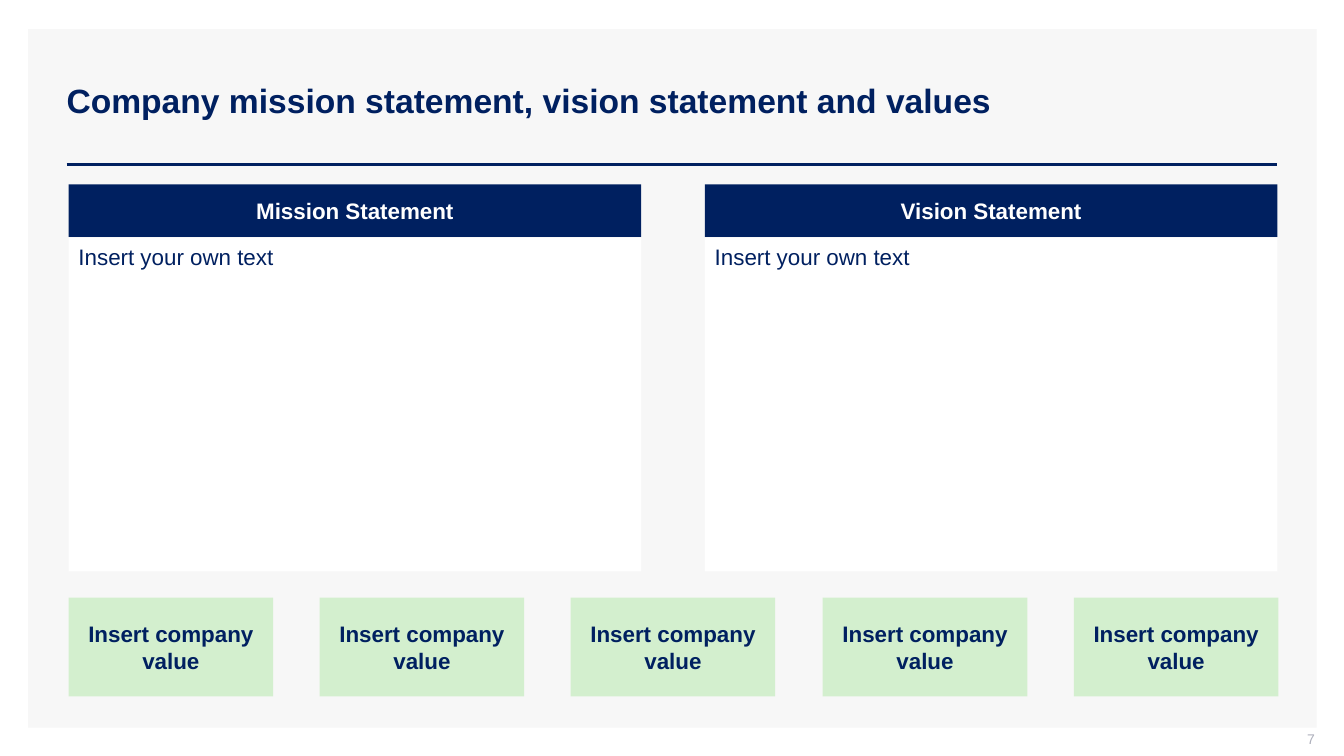
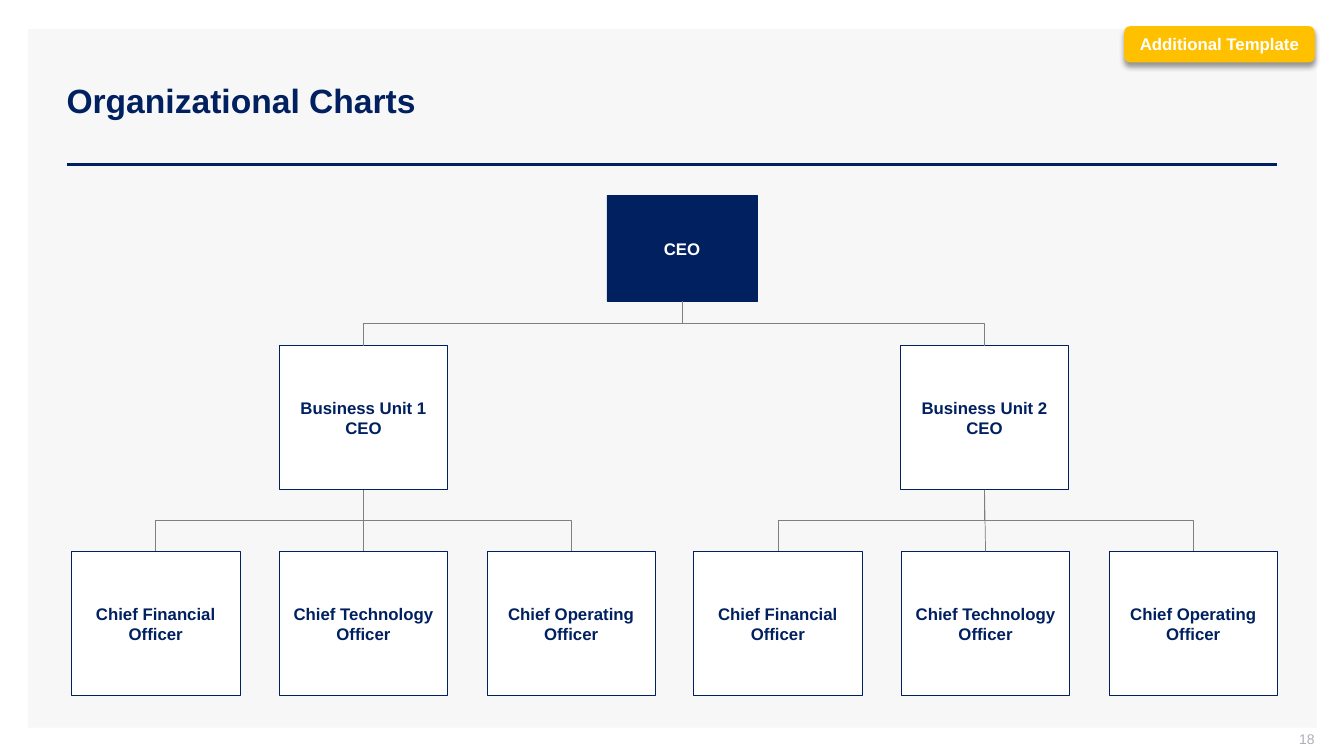
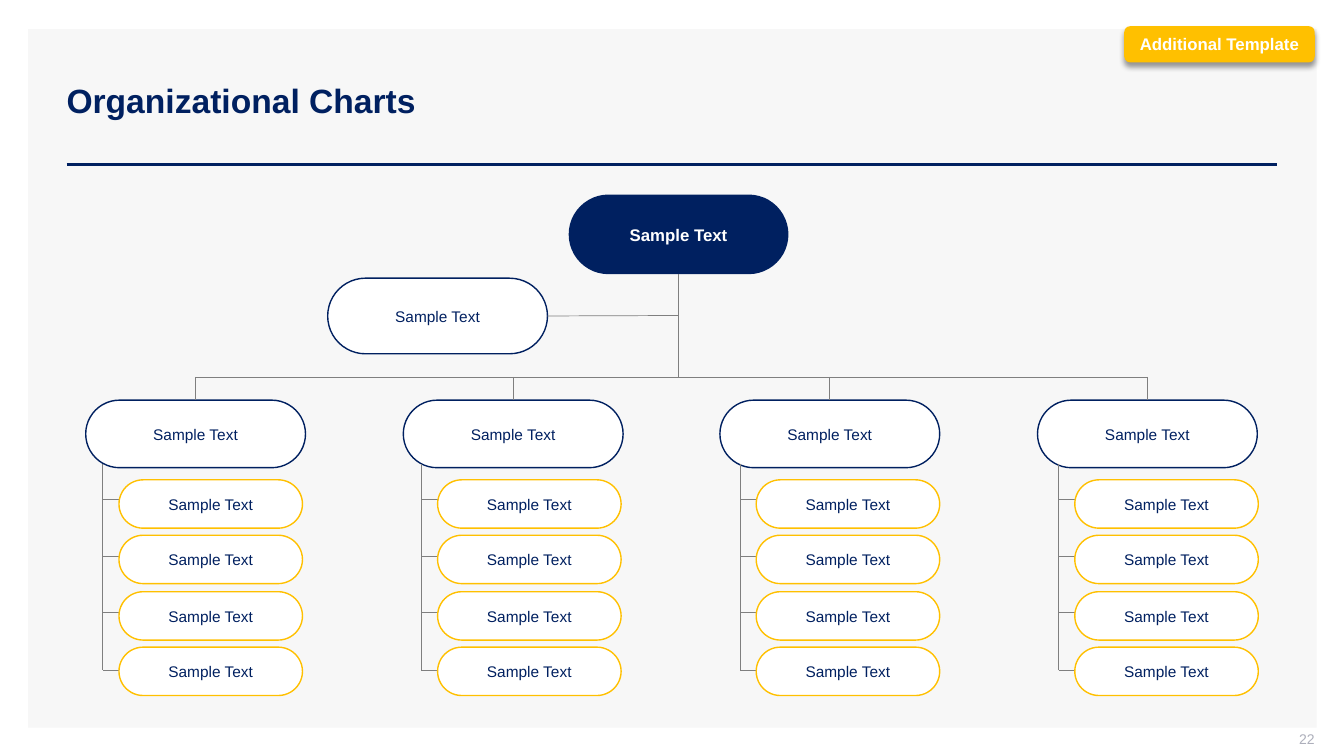
from lxml.etree import SubElement
from pptx import Presentation
from pptx.dml.color import RGBColor
from pptx.enum.shapes import MSO_CONNECTOR as CXN, MSO_SHAPE as SHAPE
from pptx.enum.text import MSO_ANCHOR as ANCHOR, MSO_AUTO_SIZE as AUTO, PP_ALIGN as ALIGN
from pptx.oxml.ns import qn
from pptx.util import Pt

PX = 9144  # EMU in one px: 100 px make an inch
FONT = "Arial"
COLORS = {
    "navy": "002060", "white": "FFFFFF", "panel": "F7F7F7", "green": "D3EFCE",
    "amber": "FFC000", "line": "7F7F7F", "page": "ADAFBB", "black": "000000",
}
TOP, LEFT, BOTTOM, RIGHT = range(4)  # connection sites
INSETS = (10, 5, 10, 5)


def emu(*lengths):
    return [round(v * PX) for v in lengths]


def rgb(name):
    return RGBColor.from_string(COLORS[name])


def spread(first, last, n):
    """n whole positions at equal steps from first to last."""
    return [round(first + i * (last - first) / (n - 1)) for i in range(n)]


class Deck:
    def __init__(self):
        self.prs = Presentation()
        self.prs.slide_width, self.prs.slide_height = emu(1333, 750)
        self.s = None

    def slide(self, title, page, badge=False):
        """Start a slide with the shared panel, rule, title and page number."""
        self.s = self.prs.slides.add_slide(self.prs.slide_layouts[5])
        self.box(28, 29, 1278, 693, "panel")
        self.line(66, 163, 1267, 163, "navy", 2)
        sp = self.s.shapes.title
        sp.left, sp.top, sp.width, sp.height = emu(56, 40, 1211, 119)
        self.s.shapes._spTree.append(sp._element)  # in front of the panel
        self.text(sp, title, 24, "navy", True, ALIGN.LEFT)
        sp = self.s.shapes.add_textbox(*emu(1004, 725, 300, 21))
        self.text(sp, page, 10, "page", False, ALIGN.RIGHT, insets=(10, 0, 0, 5))
        if badge:
            self.badge("Additional Template")

    def text(self, sp, text, size, color, bold=False, align=ALIGN.CENTER,
             anchor=ANCHOR.MIDDLE, insets=INSETS, space=0):
        tf = sp.text_frame
        tf.word_wrap, tf.auto_size, tf.vertical_anchor = True, AUTO.NONE, anchor
        (tf.margin_left, tf.margin_top,
         tf.margin_right, tf.margin_bottom) = emu(*insets)
        p = tf.paragraphs[0]
        p.alignment = align
        p.space_before = p.space_after = Pt(space)
        r = p.add_run()
        r.text = text
        r.font.name, r.font.size, r.font.bold = FONT, Pt(size), bold
        r.font.color.rgb = rgb(color)

    def box(self, x, y, w, h, fill, border=None, weight=1, kind=SHAPE.RECTANGLE):
        sp = self.s.shapes.add_shape(kind, *emu(x, y, w, h))
        sp.shadow.inherit = False
        sp.fill.solid()
        sp.fill.fore_color.rgb = rgb(fill)
        if border:
            sp.line.color.rgb = rgb(border)
            sp.line.width = Pt(weight)
        else:
            sp.line.fill.background()
        return sp

    def badge(self, text):
        sp = self.box(1115, 26, 189, 36, "amber", kind=SHAPE.ROUNDED_RECTANGLE)
        self.text(sp, text, 12, "white", True, insets=(4, 5, 4, 5))
        effects = sp._element.spPr.find(qn("a:effectLst"))
        shadow = SubElement(effects, qn("a:outerShdw"), blurRad=str(Pt(4)),
                            dist=str(Pt(3)), dir="5400000", algn="t", rotWithShape="0")
        color = SubElement(shadow, qn("a:srgbClr"), val=COLORS["black"])
        SubElement(color, qn("a:alpha"), val="40000")

    def card(self, x, y, w, h, text, fill="white", color="navy"):
        """Bordered box of the organization chart."""
        sp = self.box(x, y, w, h, fill, "navy", 0.5)
        self.text(sp, text, 12, color, True, insets=(2, 2, 2, 2))
        return sp

    def pill(self, x, y, w, h, border="navy"):
        sp = self.box(x, y, w, h, "white", border, kind=SHAPE.ROUNDED_RECTANGLE)
        sp.adjustments[0] = 0.5
        self.text(sp, "Sample Text", 11, "navy")
        return sp

    def line(self, x1, y1, x2, y2, color="line", weight=0.5, kind=CXN.STRAIGHT):
        c = self.s.shapes.add_connector(kind, *emu(x1, y1, x2, y2))
        c.line.color.rgb = rgb(color)
        c.line.width = Pt(weight)
        SubElement(c._element.spPr, qn("a:effectLst"))
        return c

    def branch(self, parent, child):
        """Join the bottom of parent to the top of child."""
        x1, x2 = (sp.left + sp.width // 2 for sp in (parent, child))
        y1, y2 = parent.top + parent.height, child.top
        bent = abs(x2 - x1) > PX
        c = self.line(0, 0, 0, 0, kind=CXN.ELBOW if bent else CXN.STRAIGHT)
        c.begin_connect(parent, BOTTOM)
        c.end_connect(child, TOP)
        if bent:
            # The elbow leaves sideways, so turn it to leave downwards
            w, h = y2 - y1, abs(x2 - x1)
            xfrm = c._element.spPr.find(qn("a:xfrm"))
            for flip in ("flipH", "flipV"):
                xfrm.attrib.pop(flip, None)
            c.left, c.top = (x1 + x2 - w) // 2, (y1 + y2 - h) // 2
            c.width, c.height = w, h
            xfrm.set("rot", "16200000" if x2 > x1 else "5400000")
            if x2 > x1:
                xfrm.set("flipH", "1")


def mission_slide(d):
    d.slide("Company mission statement, vision statement and values", "7")
    # Statements
    for x, heading in zip((68, 699), ("Mission Statement", "Vision Statement")):
        d.text(d.box(x, 183, 568, 52, "navy"), heading, 16, "white", True)
        d.text(d.box(x, 236, 568, 331, "white"), "Insert your own text", 16, "navy",
               align=ALIGN.LEFT, anchor=ANCHOR.TOP, space=4)
    # Values
    for x in spread(68, 1065, 5):
        d.text(d.box(x, 593, 203, 98, "green"), "Insert company value", 16, "navy", True)


def units_slide(d):
    d.slide("Organizational Charts", "18", badge=True)
    ceo = d.card(602, 194, 149, 105, "CEO", "navy", "white")
    officer_x = spread(71, 1100, 6)
    for i, unit_x in enumerate((277, 893)):
        unit = d.card(unit_x, 343, 167, 143, f"Business Unit {i + 1} CEO")
        d.branch(ceo, unit)
        for x, role in zip(officer_x[3 * i:], ("Financial", "Technology", "Operating")):
            d.branch(unit, d.card(x, 547, 167, 143, f"Chief {role} Officer"))


def departments_slide(d):
    d.slide("Organizational Charts", "22", badge=True)
    rail_y = 374
    # Head and assistant
    head = d.box(564, 193, 218, 79, "navy", kind=SHAPE.ROUNDED_RECTANGLE)
    head.adjustments[0] = 0.5
    d.text(head, "Sample Text", 12, "white", True)
    d.line(673, 272, 673, rail_y).begin_connect(head, BOTTOM)
    assistant = d.pill(325, 276, 218, 75)
    d.line(543, 313, 673, 313).begin_connect(assistant, RIGHT)
    # Departments, each with a rack of four members
    dept_x = spread(85, 1029, 4)
    d.line(dept_x[0] + 109, rail_y, dept_x[-1] + 109, rail_y)
    for x, member_x in zip(dept_x, spread(118, 1066, 4)):
        dept = d.pill(x, 397, 218, 67)
        d.line(x + 109, rail_y, x + 109, 397).end_connect(dept, TOP)
        rack_x = member_x - 16
        d.line(rack_x, 460, rack_x, 665)
        for y, stub_y in zip(spread(476, 642, 4), spread(495, 665, 4)):
            d.line(rack_x, stub_y, member_x, stub_y)
            d.pill(member_x, y, 182, 48, "amber")


def main():
    d = Deck()
    mission_slide(d)
    units_slide(d)
    departments_slide(d)
    d.prs.save("out.pptx")


if __name__ == "__main__":
    main()
